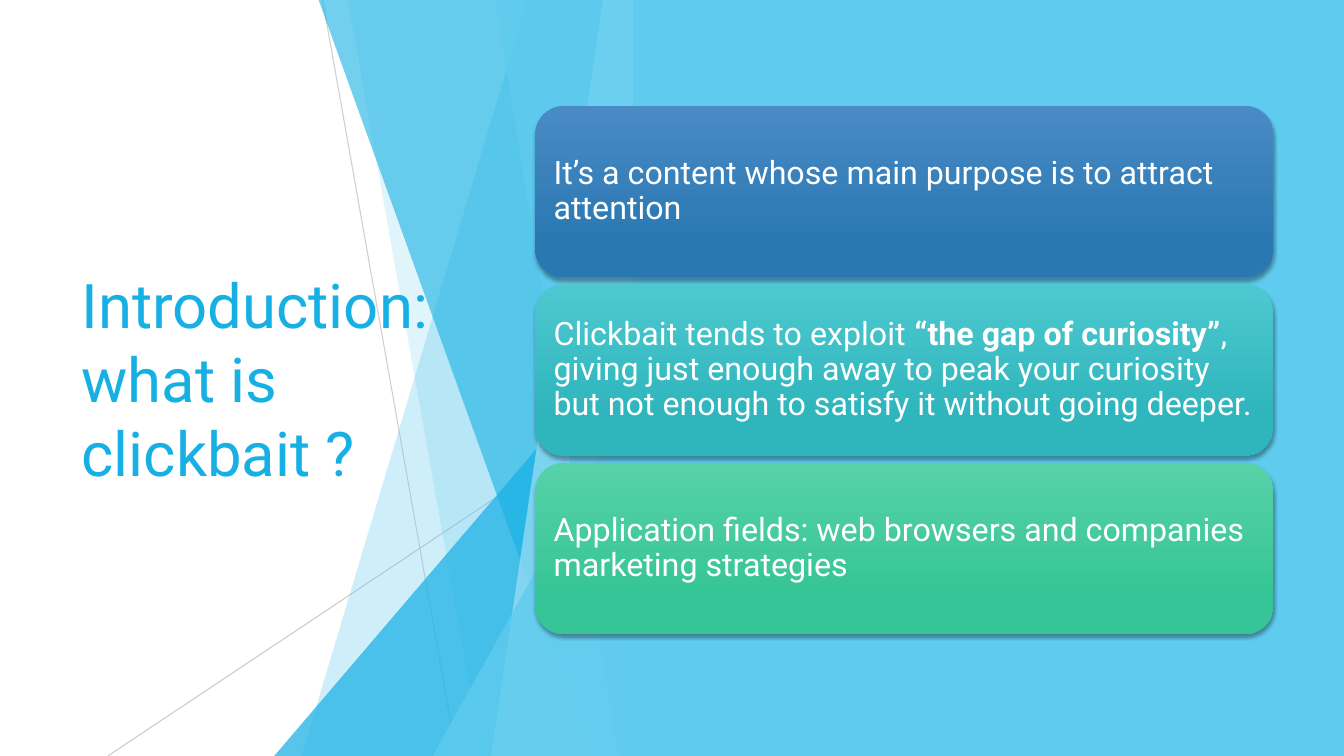
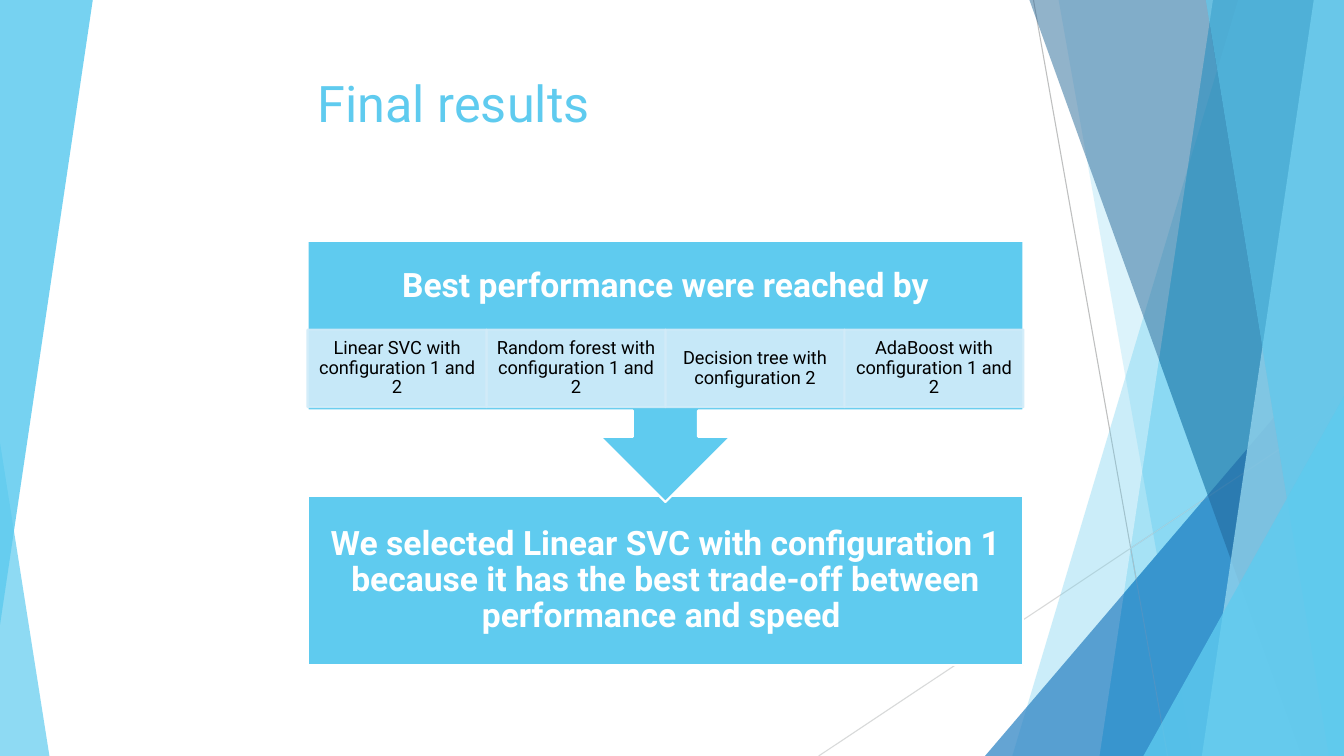
from typing import NamedTuple

from lxml.etree import SubElement
from pptx import Presentation
from pptx.dml.color import RGBColor
from pptx.enum.shapes import MSO_CONNECTOR, MSO_SHAPE as SHAPE
from pptx.enum.text import MSO_ANCHOR as ANCHOR, MSO_AUTO_SIZE, PP_ALIGN as ALIGN
from pptx.oxml.ns import qn
from pptx.util import Inches, Pt

WHITE = RGBColor(0xFF, 0xFF, 0xFF)
BLACK = RGBColor(0x00, 0x00, 0x00)
SILVER = RGBColor(0xBF, 0xBF, 0xBF)
PALE_GREY = RGBColor(0xD9, 0xD9, 0xD9)
SKY = RGBColor(0x5F, 0xCB, 0xEF)
AZURE = RGBColor(0x17, 0xB0, 0xE4)
ICE = RGBColor(0x9F, 0xE0, 0xF5)
MIST = RGBColor(0xD2, 0xEC, 0xF9)
BLUE = RGBColor(0x2E, 0x83, 0xC3)
NAVY = RGBColor(0x22, 0x62, 0x92)
BLUE_FADE = (RGBColor(0x4A, 0x8B, 0xC6), RGBColor(0x2A, 0x78, 0xB2))
TEAL_FADE = (RGBColor(0x4D, 0xC8, 0xD0), RGBColor(0x2F, 0xB5, 0xBC))
GREEN_FADE = (RGBColor(0x56, 0xD2, 0xA7), RGBColor(0x36, 0xC5, 0x96))

FONT = "Roboto"
SLIDE_W, SLIDE_H = 13.33, 7.5
FACETS_W = 5.21
RAYS = [((2.13, 0), (3.46, SLIDE_H)), ((FACETS_W, 4.03), (0, SLIDE_H))]
FACETS = [
    ("band", 4.16, 1.92),
    ("band", 2.38, 3.71),
    ("peak", 1.65, 3.33),
    ("band", 2.09, 4.79),
    ("band", 4.91, 3.8),
    ("band", 3.84, 5.06),
    ("peak", 3.22, 3.93),
]

BACKDROP_TINTS = [(SKY, 36), (SKY, 20), (AZURE, 66), (AZURE, 50), (BLUE, 70), (NAVY, 80), (AZURE, 66)]
INTRO_TINTS = [(SKY, 30), (SKY, 20), (AZURE, 72), (AZURE, 60), (ICE, 70), (SKY, 65), (SKY, 80)]
RESULT_TINTS = [(SKY, 30), (SKY, 20), (BLUE, 72), (NAVY, 47), (ICE, 70), (SKY, 65), (SKY, 80)]

CARDS = [
    (BLUE_FADE, [("It’s a content whose main purpose is to attract attention", False)]),
    (TEAL_FADE, [
        ("Clickbait tends to exploit ", False),
        ("“the gap of curiosity”", True),
        (", giving just enough away to peak your curiosity but not enough to satisfy it"
         " without going deeper.", False),
    ]),
    (GREEN_FADE, [("Application fields: web browsers and companies marketing strategies", False)]),
]
MODELS = [
    "Linear SVC with configuration 1 and 2",
    "Random forest with configuration 1 and 2",
    "Decision tree with configuration 2",
    "AdaBoost with configuration 1 and 2",
]


class Box(NamedTuple):
    """A region of the slide in inches."""

    left: float
    top: float
    width: float
    height: float

    def lengths(self):
        """Return the four sides as lengths."""
        return [Inches(side) for side in self]


def apply(target, values):
    """Set every attribute named in a dict of format values."""
    for name, value in values.items():
        setattr(target, name, value)


def set_alpha(shape, percent):
    """Make the colours of a shape partly transparent."""
    if percent < 100:
        for colour in shape._element.spPr.iter(qn("a:srgbClr")):
            SubElement(colour, qn("a:alpha"), val=str(percent * 1000))


def paint(shape, colour, alpha=100, outline=None):
    """Give a shape a flat fill, an optional outline and no shadow."""
    shape.shadow.inherit = False
    shape.fill.solid()
    shape.fill.fore_color.rgb = colour
    if outline is None:
        shape.line.fill.background()
    else:
        shape.line.color.rgb = outline
        shape.line.width = Pt(1.5)
    set_alpha(shape, alpha)
    return shape


def write(shape, runs, size, colour, anchor=ANCHOR.MIDDLE, align=ALIGN.LEFT,
          spacing=0.9, insets=(0.1, 0.05, 0.1, 0.05)):
    """Fill a shape with one paragraph of (text, bold) runs."""
    left, top, right, bottom = (Inches(inset) for inset in insets)
    frame = shape.text_frame
    apply(frame, {
        "word_wrap": True, "auto_size": MSO_AUTO_SIZE.NONE, "vertical_anchor": anchor,
        "margin_left": left, "margin_top": top, "margin_right": right, "margin_bottom": bottom,
    })
    paragraph = frame.paragraphs[0]
    apply(paragraph, {"alignment": align, "line_spacing": spacing})
    for text, bold in runs:
        run = paragraph.add_run()
        run.text = text
        apply(run.font, {"name": FONT, "size": Pt(size), "bold": bold})
        run.font.color.rgb = colour


def place_title(slide, box, text, size, colour, anchor):
    """Move the title placeholder into its box, in front of what is drawn so far."""
    title = slide.shapes.title
    apply(title, dict(zip(("left", "top", "width", "height"), box.lengths())))
    write(title, [(text, False)], size, colour, anchor, spacing=1.0)
    slide.shapes._spTree.append(title._element)


def draw_triangle(slide, box, apex, colour, alpha):
    """Draw a right-angled triangle with its apex at 0 (left) or 1 (right)."""
    triangle = slide.shapes.add_shape(SHAPE.ISOSCELES_TRIANGLE, *box.lengths())
    triangle.adjustments[0] = apex
    return paint(triangle, colour, alpha)


def draw_band(slide, box, top_x, bottom_x, colour, alpha):
    """Draw a slanted band that runs to the right edge of the box."""
    right, bottom = box.left + box.width, box.top + box.height
    corners = [(box.left + top_x, box.top), (right, box.top),
               (right, bottom), (box.left + bottom_x, bottom)]
    start, *others = [(Inches(x), Inches(y)) for x, y in corners]
    builder = slide.shapes.build_freeform(*start)
    builder.add_line_segments(others, close=True)
    paint(builder.convert_to_shape(), colour, alpha)


def draw_facets(slide, box, ray_tints, facet_tints):
    """Draw the two thin rays and the overlapping facets in the box."""
    for (start, end), (colour, alpha) in zip(RAYS, ray_tints):
        points = [Inches(v) for x, y in (start, end) for v in (box.left + x, box.top + y)]
        ray = slide.shapes.add_connector(MSO_CONNECTOR.STRAIGHT, *points)
        ray.line.color.rgb = colour
        ray.line.width = Pt(0.75)
        SubElement(ray._element.spPr, qn("a:effectLst"))
        set_alpha(ray, alpha)
    for (kind, first, second), tint in zip(FACETS, facet_tints):
        if kind == "band":
            draw_band(slide, box, first, second, *tint)
        else:
            peak = Box(box.left + first, box.top + second, box.width - first, box.height - second)
            draw_triangle(slide, peak, 1, *tint)


def draw_card(slide, box, fade, runs):
    """Draw one rounded card with a gradient and a soft shadow."""
    card = slide.shapes.add_shape(SHAPE.ROUNDED_RECTANGLE, *box.lengths())
    card.line.fill.background()
    card.fill.gradient()
    card.fill.gradient_angle = 270
    for stop, colour, position in zip(card.fill.gradient_stops, fade, (0, 0.78)):
        stop.color.rgb = colour
        stop.position = position
    card.shadow.inherit = False
    effects = card._element.spPr.find(qn("a:effectLst"))
    shadow = SubElement(effects, qn("a:outerShdw"), blurRad=str(Pt(3)), dist=str(Pt(2)),
                        dir="5400000", rotWithShape="0")
    shade = SubElement(shadow, qn("a:srgbClr"), val=str(BLACK))
    SubElement(shade, qn("a:alpha"), val="35000")
    write(card, runs, 23, WHITE, insets=(0.1,) * 4)


def draw_cards(slide, box, gap=0.07):
    """Stack the cards in the box with equal gaps."""
    height = (box.height - gap * (len(CARDS) - 1)) / len(CARDS)
    for row, (fade, runs) in enumerate(CARDS):
        draw_card(slide, Box(box.left, box.top + row * (height + gap), box.width, height), fade, runs)


def draw_process(slide, box):
    """Draw the conclusion, the callout leading to it and the row of models."""
    heading = {"size": 24, "colour": WHITE, "align": ALIGN.CENTER}
    conclusion_box = Box(box.left, box.top + 2.53, box.width, box.height - 2.53)
    conclusion = slide.shapes.add_shape(SHAPE.RECTANGLE, *conclusion_box.lengths())
    paint(conclusion, SKY, outline=WHITE)
    write(conclusion, [("We selected Linear SVC with configuration 1 because it has the best "
                        "trade-off between performance and speed ", True)],
          insets=(0.19,) * 4, **heading)

    callout_box = box._replace(height=2.59)
    callout = slide.shapes.add_shape(SHAPE.DOWN_ARROW_CALLOUT, *callout_box.lengths())
    paint(callout, SKY, outline=WHITE)
    write(callout, [("Best performance were reached by", True)],
          insets=(0.19, 0.19, 0.19, 0.96), **heading)

    width = box.width / len(MODELS)
    for column, label in enumerate(MODELS):
        model_box = Box(box.left + column * width, box.top + 0.88, width, 0.77)
        model = slide.shapes.add_shape(SHAPE.RECTANGLE, *model_box.lengths())
        paint(model, MIST, 90, outline=MIST)
        write(model, [(label, False)], 13, BLACK, align=ALIGN.CENTER, insets=(0.1, 0.02, 0.1, 0.02))


def build_intro(slide):
    """Build the introduction: title on the left, cards on the right."""
    panel_left = 6.28
    draw_facets(slide, Box(panel_left - FACETS_W, 0, FACETS_W, SLIDE_H),
                [(SILVER, 75), (SILVER, 80)], INTRO_TINTS)
    place_title(slide, Box(0.71, 1.51, 3.88, 4.48), "Introduction: what is clickbait ?",
                44, AZURE, ANCHOR.MIDDLE)
    panel = Box(panel_left, 0, SLIDE_W - panel_left, SLIDE_H)
    paint(slide.shapes.add_shape(SHAPE.RECTANGLE, *panel.lengths()), SKY)
    draw_cards(slide, Box(5.31, 1.05, 7.32, 5.24))


def build_results(slide):
    """Build the results: title above the process, facets at the edges."""
    edge = Box(SLIDE_W - FACETS_W, 0, FACETS_W, SLIDE_H)
    draw_facets(slide, edge, [(SKY, 70)] * 2, BACKDROP_TINTS)
    draw_triangle(slide, Box(0, 4.39, 0.49, 3.11), 0, SKY, 70)
    draw_triangle(slide, Box(0, 0, 0.92, 6.2), 1, SKY, 85).rotation = 180
    veil = slide.shapes.add_shape(SHAPE.PARALLELOGRAM, *Box(1.78, 0, 10.25, SLIDE_H).lengths())
    veil.adjustments[0] = 0.15
    paint(veil, WHITE, 92)
    draw_facets(slide, edge, [(SILVER, 100), (PALE_GREY, 100)], RESULT_TINTS)
    place_title(slide, Box(3.05, 0.67, 7.1, 1.44), "Final results", 36, SKY, ANCHOR.TOP)
    draw_process(slide, Box(3.05, 2.39, 7.1, 4.21))


def main():
    """Build the slides and save the deck."""
    deck = Presentation()
    apply(deck, {"slide_width": Inches(SLIDE_W), "slide_height": Inches(SLIDE_H)})
    for build in (build_intro, build_results):
        build(deck.slides.add_slide(deck.slide_layouts[5]))
    deck.save("out.pptx")


if __name__ == "__main__":
    main()
